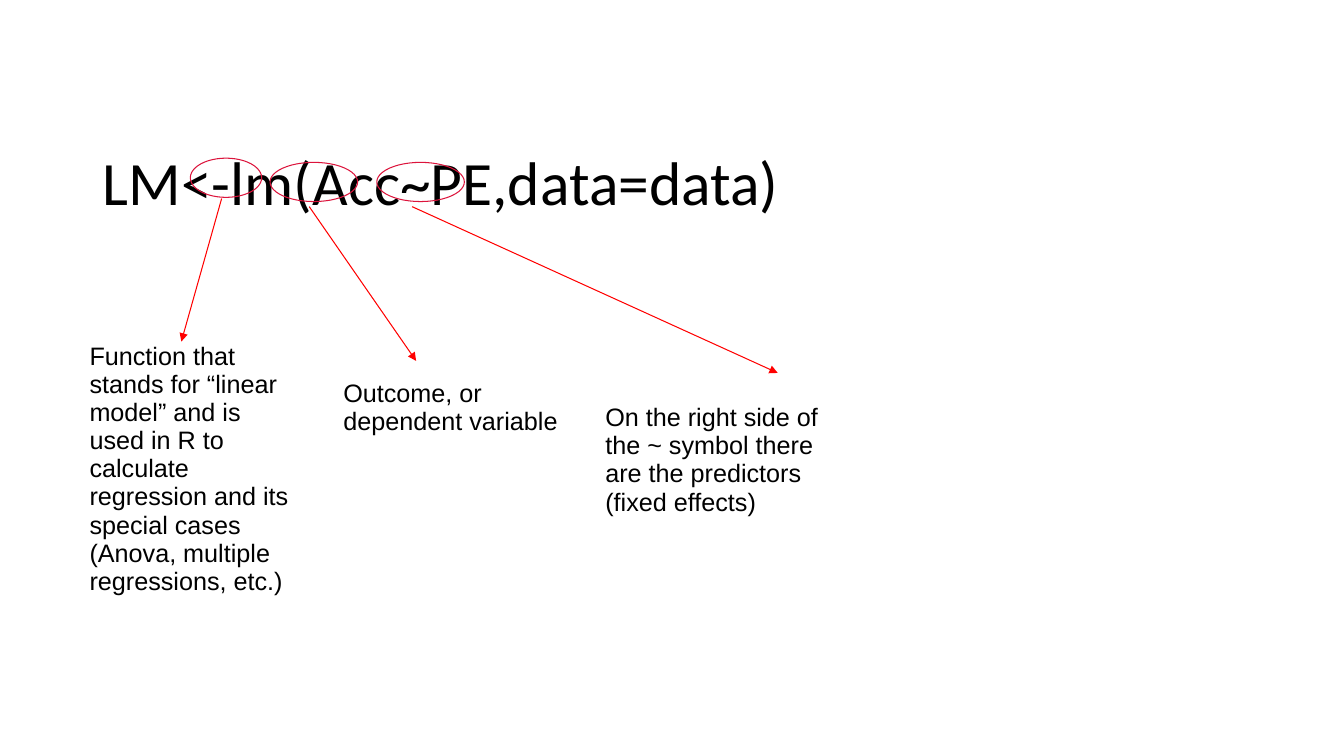
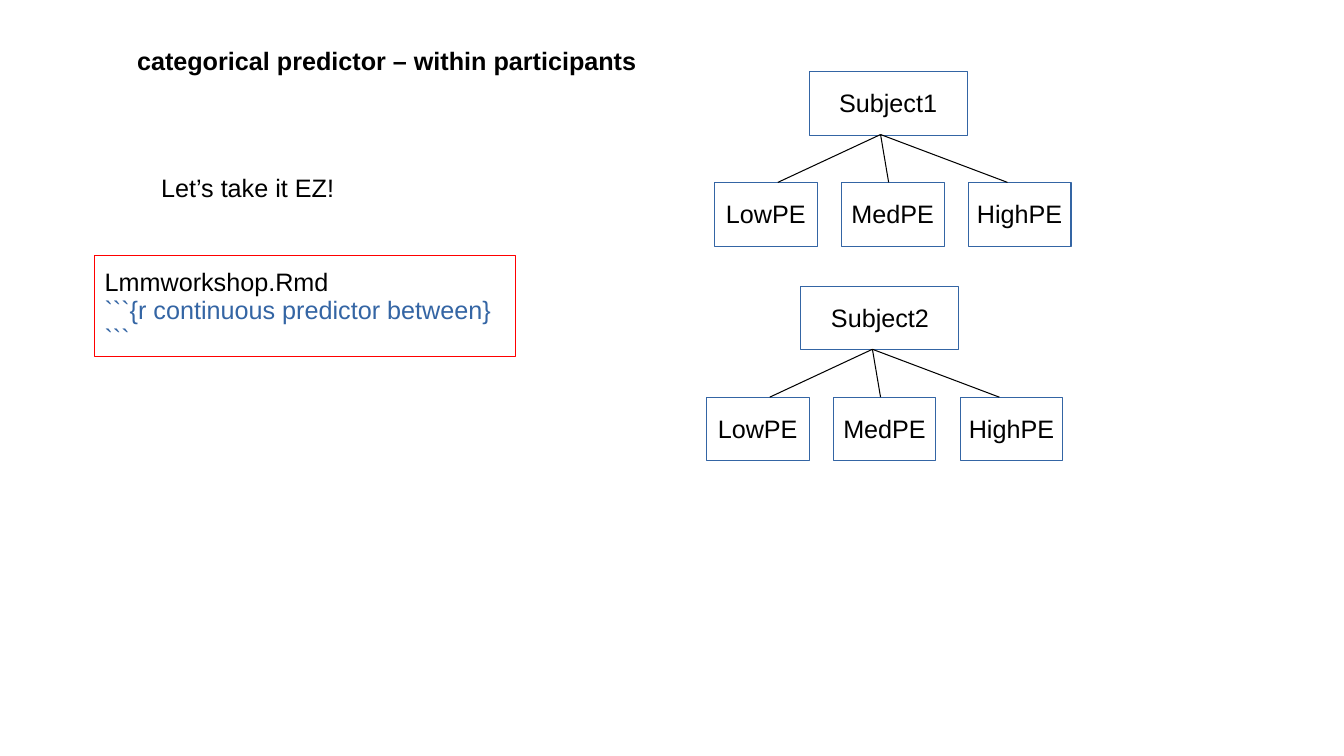
from lxml.etree import SubElement
from pptx import Presentation
from pptx.dml.color import RGBColor
from pptx.enum.shapes import MSO_CONNECTOR, MSO_SHAPE
from pptx.enum.text import MSO_ANCHOR, MSO_AUTO_SIZE, PP_ALIGN
from pptx.oxml.ns import qn
from pptx.util import Pt

BLACK = "000000"
RED = "FF0000"
CRIMSON = "DC143C"
BLUE = "3465A4"

BODY_FONT = {"name": "Arial", "size": Pt(18), "bold": False}
HEADING_FONT = {**BODY_FONT, "bold": True}
FORMULA_FONT = {**BODY_FONT, "name": "Calibri", "size": Pt(44)}
BODY_PARAGRAPH = {"alignment": PP_ALIGN.LEFT, "line_spacing": 0.93}
CENTRED_PARAGRAPH = {**BODY_PARAGRAPH, "alignment": PP_ALIGN.CENTER}
FORMULA_PARAGRAPH = {**BODY_PARAGRAPH, "line_spacing": 0.9}
BODY_FRAME = {
    "word_wrap": True,
    "auto_size": MSO_AUTO_SIZE.NONE,
    "vertical_anchor": MSO_ANCHOR.TOP,
    "margin_left": Pt(7.2),
    "margin_top": Pt(5),
    "margin_right": Pt(7.2),
    "margin_bottom": Pt(3.6),
}
NODE_FRAME = {**BODY_FRAME, "word_wrap": False, "vertical_anchor": MSO_ANCHOR.MIDDLE}
CODE_FRAME = {**BODY_FRAME, "margin_top": Pt(10)}
FORMULA_FRAME = {**BODY_FRAME, "margin_top": Pt(3.6), "vertical_anchor": MSO_ANCHOR.MIDDLE}


def apply_format(target, values):
    for name, value in values.items():
        setattr(target, name, value)


def set_color(color_format, value):
    color_format.rgb = RGBColor.from_string(value)


class Deck:
    def __init__(self):
        self.presentation = Presentation()
        self.presentation.slide_width = Pt(960.5)
        self.presentation.slide_height = Pt(540)
        self.slide = None

    def add_slide(self, layout):
        self.slide = self.presentation.slides.add_slide(self.presentation.slide_layouts[layout])

    def set_text(self, shape, lines, frame=BODY_FRAME, paragraph_format=BODY_PARAGRAPH, font=BODY_FONT):
        text_frame = shape.text_frame
        apply_format(text_frame, frame)
        for index, (text, color) in enumerate(lines):
            paragraph = text_frame.add_paragraph() if index else text_frame.paragraphs[0]
            apply_format(paragraph, paragraph_format)
            run = paragraph.add_run()
            run.text = text
            apply_format(run.font, font)
            set_color(run.font.color, color)

    def title(self, bounds, text, frame, paragraph_format, font):
        shape = self.slide.shapes.title
        apply_format(shape, dict(zip(("left", "top", "width", "height"), map(Pt, bounds))))
        self.set_text(shape, [(text, BLACK)], frame, paragraph_format, font)

    def text(self, bounds, text):
        self.set_text(self.slide.shapes.add_textbox(*map(Pt, bounds)), [(text, BLACK)])

    def outline(self, kind, bounds, color):
        shape = self.slide.shapes.add_shape(kind, *map(Pt, bounds))
        shape.shadow.inherit = False
        shape.fill.background()
        set_color(shape.line.color, color)
        shape.line.width = Pt(0.75)
        return shape

    def node(self, bounds, text):
        shape = self.outline(MSO_SHAPE.RECTANGLE, bounds, BLUE)
        self.set_text(shape, [(text, BLACK)], NODE_FRAME, CENTRED_PARAGRAPH)

    def line(self, start, end, color, arrow=False):
        connector = self.slide.shapes.add_connector(
            MSO_CONNECTOR.STRAIGHT, *map(Pt, (*start, *end)))
        set_color(connector.line.color, color)
        connector.line.width = Pt(0.75)
        properties = connector.element.spPr
        if arrow:
            SubElement(properties.find(qn("a:ln")), qn("a:tailEnd"), type="triangle")
        SubElement(properties, qn("a:effectLst"))

    def tree(self, left, top, subject):
        self.node((left + 67.7, top, 113, 45.5), subject)
        levels = (("LowPE", 45.4), ("MedPE", 124.6), ("HighPE", 209.5))
        for index, (level, line_offset) in enumerate(levels):
            self.node((left + index * 90.7, top + 79.2, 73.5, 45.5), level)
            self.line((left + line_offset, top + 79.2), (left + 118.8, top + 45), BLACK)


def build_formula_slide(deck):
    deck.add_slide(5)
    deck.title((66.2, 80.6, 828, 104.4), "LM<-lm(Acc~PE,data=data)",
               FORMULA_FRAME, FORMULA_PARAGRAPH, FORMULA_FONT)
    callouts = (
        ((136, 113, 51, 28), (158.4, 141.8), (129.6, 244), (56.9, 239.8, 164.2, 188.6),
         "Function that stands for “linear model” and is used in R to calculate "
         "regression and its special cases (Anova, multiple regressions, etc.)"),
        ((193, 116, 62.6, 28), (221, 147.6), (297.4, 257.8), (238.3, 266.4, 175.7, 67.7),
         "Outcome, or dependent variable"),
        ((269.3, 116, 62.6, 28), (294.5, 147.6), (555.8, 266.4), (425.5, 283.7, 181.4, 229),
         "On the right side of the ~ symbol there are the predictors (fixed effects)"),
    )
    for ellipse, start, end, bounds, text in callouts:
        deck.outline(MSO_SHAPE.OVAL, ellipse, CRIMSON)
        deck.line(start, end, RED, arrow=True)
        deck.text(bounds, text)


def build_predictor_slide(deck):
    deck.add_slide(5)
    deck.title((90.7, 29.5, 748, 27.4), "categorical predictor – within participants",
               BODY_FRAME, BODY_PARAGRAPH, HEADING_FONT)
    deck.text((108, 120.2, 617.8, 27.4), "Let’s take it EZ!")
    deck.tree(504.7, 204.5, "Subject2")
    deck.tree(510.5, 51.1, "Subject1")
    code_box = deck.outline(MSO_SHAPE.RECTANGLE, (67.7, 182.2, 301, 72.7), RED)
    deck.set_text(code_box, [
        ("Lmmworkshop.Rmd", BLACK),
        ("```{r continuous predictor between}", BLUE),
        ("```", BLUE),
    ], CODE_FRAME)


def main():
    deck = Deck()
    build_formula_slide(deck)
    build_predictor_slide(deck)
    deck.presentation.save("out.pptx")


if __name__ == "__main__":
    main()
